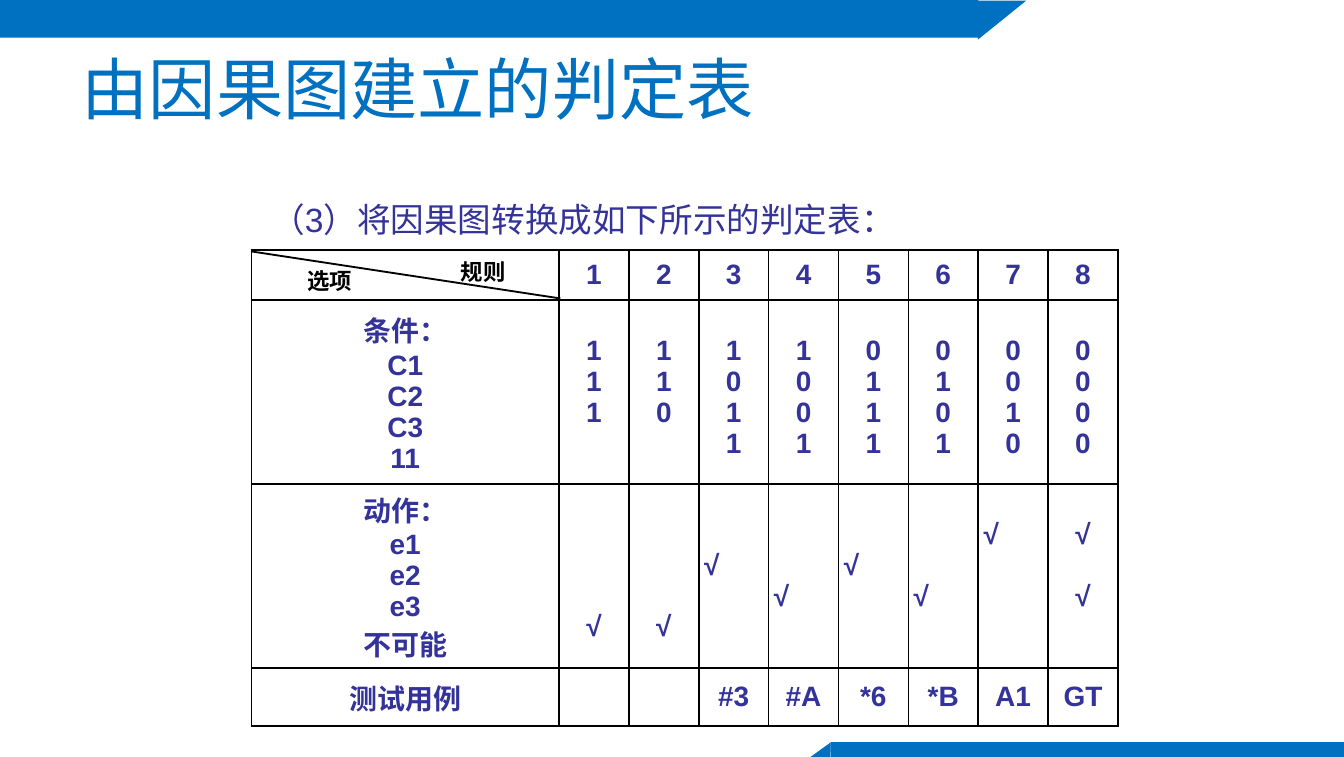
from lxml.etree import SubElement
from pptx import Presentation
from pptx.dml.color import RGBColor
from pptx.enum.shapes import MSO_CONNECTOR as Connector, MSO_SHAPE as Shape
from pptx.enum.text import MSO_ANCHOR as Anchor, PP_ALIGN as Align
from pptx.oxml.ns import qn
from pptx.util import Inches, Pt

BLUE, WHITE, BLACK, INDIGO = "0070C0", "FFFFFF", "000000", "333399"
LINE_HEIGHT = 0.23
CELL_SIZE = 15
CONDITIONS = ["111", "110", "1011", "1001", "0111", "0101", "0010", "0000"]
ACTIONS = ["    √", "    √", "  √", "   √", "  √", "   √", " √", " √ √"]
TEST_CASES = ["", "", "#3", "#A", "*6", "*B", "A1", "GT"]


def color(value):
    """Turn a hex string into a colour."""
    return RGBColor.from_string(value)


def format_para(para, size, font, hex_color, bold=False, align=None):
    """Align a paragraph and format its runs."""
    para.alignment = align
    for span in para.runs:
        span.font.size = Pt(size)
        span.font.name = font
        span.font.bold = bold
        span.font.color.rgb = color(hex_color)


def add_band(page, kind, place, hex_color, rotation=0):
    """Add a plain filled shape."""
    shape = page.shapes.add_shape(kind, *map(Inches, place))
    shape.shadow.inherit = False
    shape.fill.solid()
    shape.fill.fore_color.rgb = color(hex_color)
    shape.line.fill.background()
    shape.rotation = rotation


def add_label(page, text, place, size, font, hex_color, bold=False, align=None, anchor=Anchor.TOP):
    """Add a wrapped one-paragraph text box."""
    frame = page.shapes.add_textbox(*map(Inches, place)).text_frame
    frame.word_wrap = True
    frame.vertical_anchor = anchor
    frame.text = text
    format_para(frame.paragraphs[0], size, font, hex_color, bold, align)


def add_rule(page, start, end):
    """Add a thin black straight line."""
    line = page.shapes.add_connector(Connector.STRAIGHT, *map(Inches, start + end))
    line.line.color.rgb = color(BLACK)
    line.line.width = Pt(1)
    SubElement(line._element.spPr, qn("a:effectLst"))


def style_cell(cell):
    """Clear the fill, set insets and draw black borders."""
    cell.margin_left = cell.margin_right = Inches(0.04)
    cell.margin_top = cell.margin_bottom = Inches(0.03)
    properties = cell._tc.get_or_add_tcPr()
    for side in ("lnL", "lnR", "lnT", "lnB"):
        border = SubElement(properties, qn(f"a:{side}"), w=str(Pt(1)))
        fill = SubElement(border, qn("a:solidFill"))
        SubElement(fill, qn("a:srgbClr"), val=BLACK)
    cell.fill.background()


def fill_cell(cell, lines, align=Align.CENTER, anchor=Anchor.MIDDLE, offset=0):
    """Write lines into a cell, turning blank ones into spacing."""
    cell.vertical_anchor = anchor
    cell.margin_top = Inches(0.03 + offset * LINE_HEIGHT)
    frame = cell.text_frame
    gap = 0
    for line in lines:
        if line == " ":
            gap += 1
            continue
        para = frame.add_paragraph() if frame.text else frame.paragraphs[0]
        para.text = line
        if gap:
            para.space_before = Inches(gap * LINE_HEIGHT)
        gap = 0
        format_para(para, CELL_SIZE, "Arial", INDIGO, True, align)


def add_decision_table(page):
    """Add the table of conditions, actions and test cases."""
    place = map(Inches, (1.87, 1.86, 6.44, 3.55))
    table = page.shapes.add_table(4, 9, *place).table
    table.first_row = table.horz_banding = False
    for index, column in enumerate(table.columns):
        column.width = Inches(0.52 if index else 2.29)
    for row, height in zip(table.rows, (0.37, 1.37, 1.37, 0.43)):
        row.height = Inches(height)
    for cell in table.iter_cells():
        style_cell(cell)

    fill_cell(table.cell(1, 0), ["条件：", "C1", "C2", "C3", "11"])
    fill_cell(table.cell(2, 0), ["动作：", "e1", "e2", "e3", "不可能"])
    fill_cell(table.cell(3, 0), ["测试用例"])
    rules = zip(CONDITIONS, ACTIONS, TEST_CASES)
    for number, (condition, action, test_case) in enumerate(rules, 1):
        fill_cell(table.cell(0, number), [str(number)])
        fill_cell(table.cell(1, number), condition, anchor=Anchor.TOP, offset=1)
        marks = action.lstrip()
        align = Align.LEFT if 3 <= number <= 7 else Align.CENTER
        fill_cell(table.cell(2, number), marks, align, Anchor.TOP, len(action) - len(marks))
        if test_case:
            fill_cell(table.cell(3, number), [test_case])


def main():
    """Build and save the slide."""
    deck = Presentation()
    deck.slide_width, deck.slide_height = Inches(10), Inches(5.63)
    page = deck.slides.add_slide(deck.slide_layouts[6])

    add_band(page, Shape.RECTANGLE, (0, 0, 10, 0.28), BLUE)
    add_band(page, Shape.RECTANGLE, (7.28, 0, 2.72, 0.38), WHITE)
    add_band(page, Shape.RECTANGLE, (6.18, 5.52, 3.82, 0.11), BLUE)
    add_band(page, Shape.RIGHT_TRIANGLE, (7.31, -0.03, 0.29, 0.36), BLUE, 90)
    add_band(page, Shape.RIGHT_TRIANGLE, (6.04, 5.5, 0.12, 0.16), BLUE, 271)

    add_label(page, "由因果图建立的判定表", (0.51, 0.3, 9, 0.71), 36, "Montserrat", BLUE,
              anchor=Anchor.MIDDLE)
    add_label(page, "（3）将因果图转换成如下所示的判定表：", (1.92, 1.43, 6.86, 0.38), 18, "Arial", INDIGO)
    add_decision_table(page)
    add_rule(page, (1.87, 1.87), (4.17, 2.22))
    for text, place in (("规则", (3.19, 1.87, 0.81, 0.3)), ("选项", (2.04, 1.94, 0.83, 0.3))):
        add_label(page, text, place, 12, "Times New Roman", BLACK, True, Align.CENTER)

    deck.save("out.pptx")


if __name__ == "__main__":
    main()
